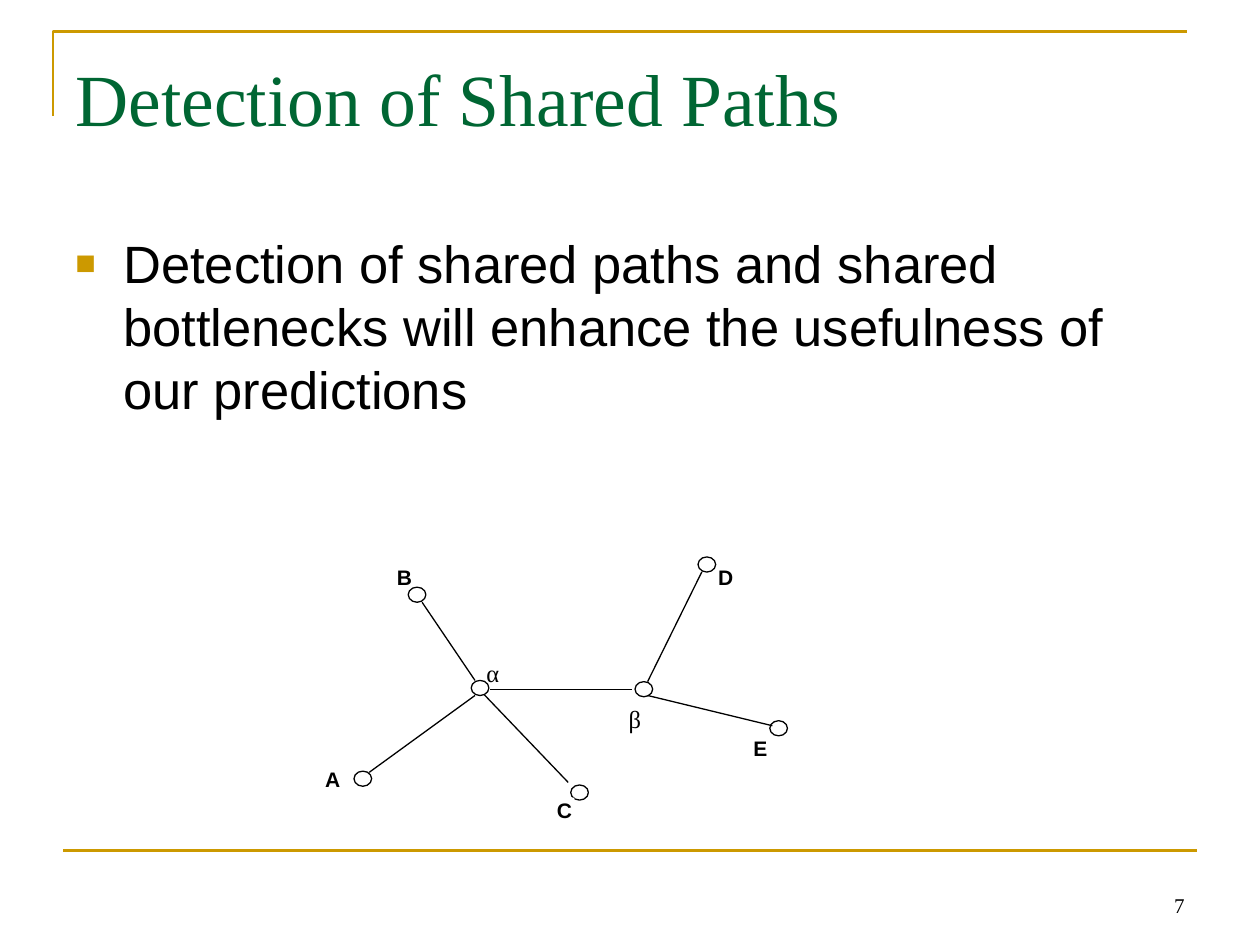
import pptx
import pptx.dml.color
import pptx.enum.shapes
import pptx.enum.text
import pptx.oxml
import pptx.oxml.ns
import pptx.util

COLORS = {"gold": "CC9900", "green": "006633", "black": "000000", "white": "FFFFFF"}
FONTS = {
    "title": {"name": "Times New Roman", "size": pptx.util.Pt(42), "color": "green"},
    "body": {"name": "Arial", "size": pptx.util.Pt(30), "color": "black"},
    "host": {"name": "Arial", "size": pptx.util.Pt(12), "bold": True, "color": "black"},
    "router": {"name": "Times New Roman", "size": pptx.util.Pt(14), "color": "black"},
    "number": {"name": "Times New Roman", "size": pptx.util.Pt(12), "color": "black"},
}
COLUMNS, ROWS = 100, 75
NODE_SIZE, LABEL_SIZE = (1.4, 1.2), (1.4, 1.7)
NODES = [(55.4, 44.2), (32.4, 46.6), (28.1, 61.2), (45.3, 62.3),
         (50.4, 54.1), (37.4, 54), (61.1, 57.2)]
EDGES = [
    ((38.9, 54.7), (50.2, 54.7)), ((33.5, 47.8), (37.7, 54)),
    ((29.3, 61.3), (37.7, 55.2)), ((45.1, 62.1), (38.4, 55.1)),
    ((55.7, 45.4), (51.4, 54.1)), ((51.4, 55.2), (61.3, 57.6)),
]
LABELS = [
    ("A", "host", (25.8, 60.8)), ("B", "host", (31.5, 44.8)),
    ("C", "host", (44.2, 63.3)), ("α", "router", (38.6, 52.2)),
    ("β", "router", (49.9, 55.9)), ("E", "host", (59.8, 58.4)),
    ("D", "host", (57, 44.8)),
]


class SlideBuilder:
    """Draws styled elements on a slide divided into columns and rows."""

    def __init__(self, deck):
        self.deck = deck
        self.page = deck.slides.add_slide(deck.slide_layouts[5])

    def point(self, position):
        column, row = position
        return (round(self.deck.slide_width * column / COLUMNS),
                round(self.deck.slide_height * row / ROWS))

    def color(self, name):
        return pptx.dml.color.RGBColor.from_string(COLORS[name])

    def outline(self, shape, color, width):
        shape.line.color.rgb = self.color(color)
        shape.line.width = pptx.util.Pt(width)

    def fill_text(self, shape, text, style, insets=(0.1, 0.05, 0.1, 0.05),
                  align="LEFT", anchor="TOP", wrap=True):
        frame = shape.text_frame
        margins = dict(zip(("margin_left", "margin_top", "margin_right", "margin_bottom"),
                           map(pptx.util.Inches, insets)))
        settings = {"word_wrap": wrap, "auto_size": pptx.enum.text.MSO_AUTO_SIZE.NONE,
                    "vertical_anchor": pptx.enum.text.MSO_ANCHOR[anchor], **margins}
        for name, value in settings.items():
            setattr(frame, name, value)
        para = frame.paragraphs[0]
        para.alignment = pptx.enum.text.PP_ALIGN[align]
        span = para.add_run()
        span.text = text
        for name, value in FONTS[style].items():
            if name == "color":
                span.font.color.rgb = self.color(value)
            else:
                setattr(span.font, name, value)
        return para

    def title(self, text, position, size):
        box = self.page.shapes.title
        box.left, box.top = self.point(position)
        box.width, box.height = self.point(size)
        self.fill_text(box, text, "title", insets=(0.1, 0.12, 0.1, 0.05))

    def text(self, text, style, position, size, **options):
        box = self.page.shapes.add_textbox(*self.point(position), *self.point(size))
        return self.fill_text(box, text, style, **options)

    def bullet(self, text, position, size):
        para = self.text(text, "body", position, size, insets=(0.1, 0.08, 0.1, 0.05))
        para.line_spacing = pptx.util.Pt(36)
        properties = para._p.get_or_add_pPr()
        indent = pptx.util.Inches(0.38)
        properties.set("marL", str(indent))
        properties.set("indent", str(-indent))
        namespace = pptx.oxml.ns.nsdecls("a")
        for markup in (
            f'<a:buClr {namespace}><a:srgbClr val="{COLORS["gold"]}"/></a:buClr>',
            f'<a:buSzPct {namespace} val="65000"/>',
            f'<a:buFont {namespace} typeface="Arial"/>',
            f'<a:buChar {namespace} char="■"/>',
        ):
            properties.append(pptx.oxml.parse_xml(markup))

    def corner(self, points):
        first, *others = map(self.point, points)
        builder = self.page.shapes.build_freeform(*first)
        builder.add_line_segments(others, close=False)
        shape = builder.convert_to_shape()
        shape.shadow.inherit = False
        shape.fill.background()
        self.outline(shape, "gold", 1.5)

    def line(self, start, end, color="black", width=0.75):
        connector = self.page.shapes.add_connector(
            pptx.enum.shapes.MSO_CONNECTOR.STRAIGHT, *self.point(start), *self.point(end))
        self.outline(connector, color, width)
        effects = f'<a:effectLst {pptx.oxml.ns.nsdecls("a")}/>'
        connector._element.spPr.append(pptx.oxml.parse_xml(effects))

    def block(self, kind, position, size):
        shape = self.page.shapes.add_shape(
            pptx.enum.shapes.MSO_SHAPE[kind], *self.point(position), *self.point(size))
        shape.shadow.inherit = False
        shape.fill.solid()
        shape.fill.fore_color.rgb = self.color("white")
        return shape

    def node(self, position):
        self.outline(self.block("FLOWCHART_CONNECTOR", position, NODE_SIZE), "black", 0.75)

    def label(self, text, style, position):
        shape = self.block("RECTANGLE", position, LABEL_SIZE)
        shape.line.fill.background()
        self.fill_text(shape, text, style, insets=(0, 0, 0, 0), wrap=False)


def main():
    deck = pptx.Presentation()
    deck.slide_width = pptx.util.Inches(10)
    deck.slide_height = pptx.util.Inches(7.5)
    slide = SlideBuilder(deck)
    slide.corner([(4.2, 9.2), (4.2, 2.5), (94.2, 2.5)])
    slide.line((5, 67.5), (95, 67.5), "gold", 1.5)
    slide.title("Detection of Shared Paths", (5, 3), (90, 12.5))
    slide.bullet("Detection of shared paths and shared bottlenecks will enhance "
                 "the usefulness of our predictions", (5, 17.5), (90, 49.5))
    for position in NODES:
        slide.node(position)
    for start, end in EDGES:
        slide.line(start, end)
    for text, style, position in LABELS:
        slide.label(text, style, position)
    slide.text("7", "number", (71.7, 68.3), (23.3, 5), align="RIGHT", anchor="BOTTOM")
    deck.save("out.pptx")


if __name__ == "__main__":
    main()
